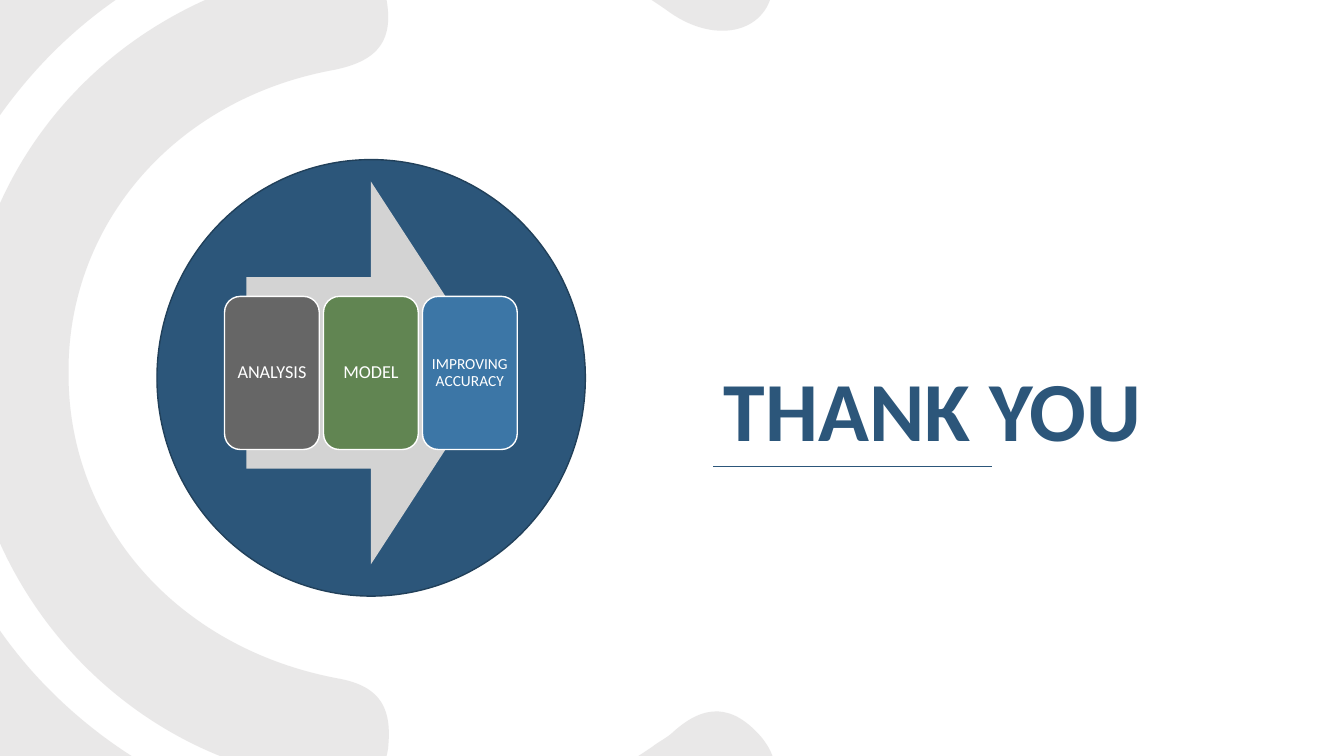
from dataclasses import dataclass

from lxml import etree
from pptx import Presentation
from pptx.dml.color import RGBColor
from pptx.enum.shapes import MSO_CONNECTOR, MSO_SHAPE
from pptx.enum.text import MSO_ANCHOR, MSO_AUTO_SIZE, PP_ALIGN
from pptx.oxml.ns import qn
from pptx.util import Pt

STRAIGHT = MSO_CONNECTOR.STRAIGHT
CIRCLE = MSO_SHAPE.FLOWCHART_CONNECTOR
ARROW = MSO_SHAPE.RIGHT_ARROW
RECTANGLE = MSO_SHAPE.RECTANGLE
ROUNDED = MSO_SHAPE.ROUNDED_RECTANGLE
MIDDLE = MSO_ANCHOR.MIDDLE
LEFT, CENTER = PP_ALIGN.LEFT, PP_ALIGN.CENTER
TITLE_ONLY = 5


@dataclass(frozen=True)
class Theme:
    font: str = "Calibri"
    navy: str = "2C567A"
    navy_edge: str = "21405A"
    ring: str = "E7E6E6"
    ring_opacity: int = 91
    arrow: str = "D3D3D3"
    white: str = "FFFFFF"
    title_size: int = 60
    line_spacing: float = 0.9


THEME = Theme()

TITLE = "THANK YOU"
STEPS = [  # text, fill, type size
    ("ANALYSIS", "666666", 13),
    ("MODEL", "618552", 13),
    ("IMPROVING ACCURACY", "3C76A6", 11),
]

# Rings: a start point, then cubic curves as (control, control, end), in points
OUTER_RING = ((-136, 243.4), [
    ((-128.2, 108.7), (-59, -14.4), (85.7, -87.8)),
    ((233.3, -161.3), (377.3, -147.6), (514.1, -58.3)),
    ((531.4, -46.1), (553.7, -35.3), (552.2, -10.8)),
    ((550.1, 22.3), (512.6, 33.1), (478.1, 8.6)),
    ((325.4, -100.1), (124.6, -75.6), (11.5, 67)),
    ((-89.3, 193), (-79.2, 373.7), (31.7, 488.9)),
    ((146.9, 608.4), (329, 627.1), (465.8, 533.5)),
    ((470.2, 529.9), (476.6, 527), (481, 522.7)),
    ((503.3, 502.6), (523.4, 502.6), (544.3, 527)),
    ((565.9, 554.4), (544.3, 570.2), (524.9, 582.5)),
    ((418.3, 662.4), (298.8, 686.9), (168.5, 653)),
    ((-12.2, 607), (-134.6, 447.1), (-136, 243.4)),
])
INNER_RING = ((-25.9, 267.8), [
    ((-25.9, 122.4), (74.2, 4.3), (220.3, -23)),
    ((242.6, -26.6), (269.3, -35.3), (275.8, -2.2)),
    ((281.5, 27.4), (272.2, 43.9), (236.2, 50.4)),
    ((123.1, 72), (47.5, 162), (49, 267.8)),
    ((49, 373.7), (126, 463), (241.2, 484.6)),
    ((273.6, 490.3), (280.1, 507.6), (277.2, 535)),
    ((272.2, 567.4), (247, 560.9), (225.4, 558)),
    ((83.5, 539.3), (-25.9, 414), (-25.9, 267.8)),
])

# Left, top, width, height in points
TITLE_BOX = (509.8, 270.5, 394.6, 51.1)
WHITE_PANELS = [(480.2, 93.6, 204.5, 131.8), (473.8, 342, 111.6, 93.6)]
CIRCLE_BOX = (112.1, 114, 306, 311.8)
ARROW_BOX = (176, 129.6, 177.8, 273.6)
FIRST_STEP_BOX = (160.4, 211.7, 67.7, 109.4)
STEP_PITCH = 70.7
STEP_INSET = 3.4
RULE_LEFT, RULE_RIGHT, RULE_TOP = 509.5, 708.5, 333.4
UNITS_PER_POINT = 100


def color(code):
    return RGBColor.from_string(code)


def points(values):
    return [Pt(value) for value in values]


def paint(shape, fill, edge=None):
    shape.shadow.inherit = False
    shape.fill.solid()
    shape.fill.fore_color.rgb = color(fill)
    if edge:
        shape.line.color.rgb = color(edge)
        shape.line.width = Pt(1)
    else:
        shape.line.fill.background()


def add_shape(slide, kind, box, fill, edge=None):
    shape = slide.shapes.add_shape(kind, *points(box))
    paint(shape, fill, edge)
    return shape


def write(shape, text, size, text_color, alignment, bold=False):
    frame = shape.text_frame
    frame.text = text
    frame.word_wrap = True
    frame.auto_size = MSO_AUTO_SIZE.NONE
    frame.vertical_anchor = MIDDLE
    paragraph = frame.paragraphs[0]
    paragraph.alignment = alignment
    paragraph.line_spacing = THEME.line_spacing
    font = paragraph.font
    font.name, font.size, font.bold = THEME.font, Pt(size), bold
    font.color.rgb = color(text_color)
    return frame


def bend(freeform):
    """Turn every three line segments into one cubic curve."""
    outline = freeform._element.spPr.find(".//" + qn("a:path"))
    lines = outline.findall(qn("a:lnTo"))
    for first in range(0, len(lines), 3):
        curve = etree.Element(qn("a:cubicBezTo"))
        lines[first].addprevious(curve)
        for line in lines[first:first + 3]:
            curve.append(line[0])
            outline.remove(line)


def add_ring(slide, start, curves):
    def units(point):
        return tuple(round(value * UNITS_PER_POINT) for value in point)

    builder = slide.shapes.build_freeform(
        *units(start), scale=Pt(1) / UNITS_PER_POINT)
    builder.add_line_segments(
        [units(point) for curve in curves for point in curve], close=True)
    ring = builder.convert_to_shape()
    bend(ring)
    paint(ring, THEME.ring)
    fill_color = ring._element.spPr.find(qn("a:solidFill"))[0]
    alpha = etree.SubElement(fill_color, qn("a:alpha"))
    alpha.set("val", str(THEME.ring_opacity * 1000))


def add_rule(slide):
    rule = slide.shapes.add_connector(
        STRAIGHT, *points((RULE_LEFT, RULE_TOP, RULE_RIGHT, RULE_TOP)))
    rule.line.color.rgb = color(THEME.navy)
    rule.line.width = Pt(0.5)
    etree.SubElement(rule._element.spPr, qn("a:effectLst"))


def add_title(slide):
    title = slide.shapes.title
    title.left, title.top, title.width, title.height = points(TITLE_BOX)
    write(title, TITLE, THEME.title_size, THEME.navy, LEFT, bold=True)


def add_steps(slide):
    left, top, width, height = FIRST_STEP_BOX
    for index, (text, fill, size) in enumerate(STEPS):
        box = (left + index * STEP_PITCH, top, width, height)
        step = add_shape(slide, ROUNDED, box, fill, THEME.white)
        frame = write(step, text, size, THEME.white, CENTER)
        frame.margin_left = frame.margin_right = Pt(STEP_INSET)
        frame.margin_top = frame.margin_bottom = Pt(STEP_INSET)


def main():
    presentation = Presentation()
    presentation.slide_width, presentation.slide_height = Pt(960), Pt(540)
    slide = presentation.slides.add_slide(
        presentation.slide_layouts[TITLE_ONLY])
    for ring in (OUTER_RING, INNER_RING):
        add_ring(slide, *ring)
    add_rule(slide)
    add_title(slide)
    for panel in WHITE_PANELS:
        add_shape(slide, RECTANGLE, panel, THEME.white, THEME.white)
    add_shape(slide, CIRCLE, CIRCLE_BOX, THEME.navy, THEME.navy_edge)
    add_shape(slide, ARROW, ARROW_BOX, THEME.arrow)
    add_steps(slide)
    presentation.save("out.pptx")


if __name__ == "__main__":
    main()
